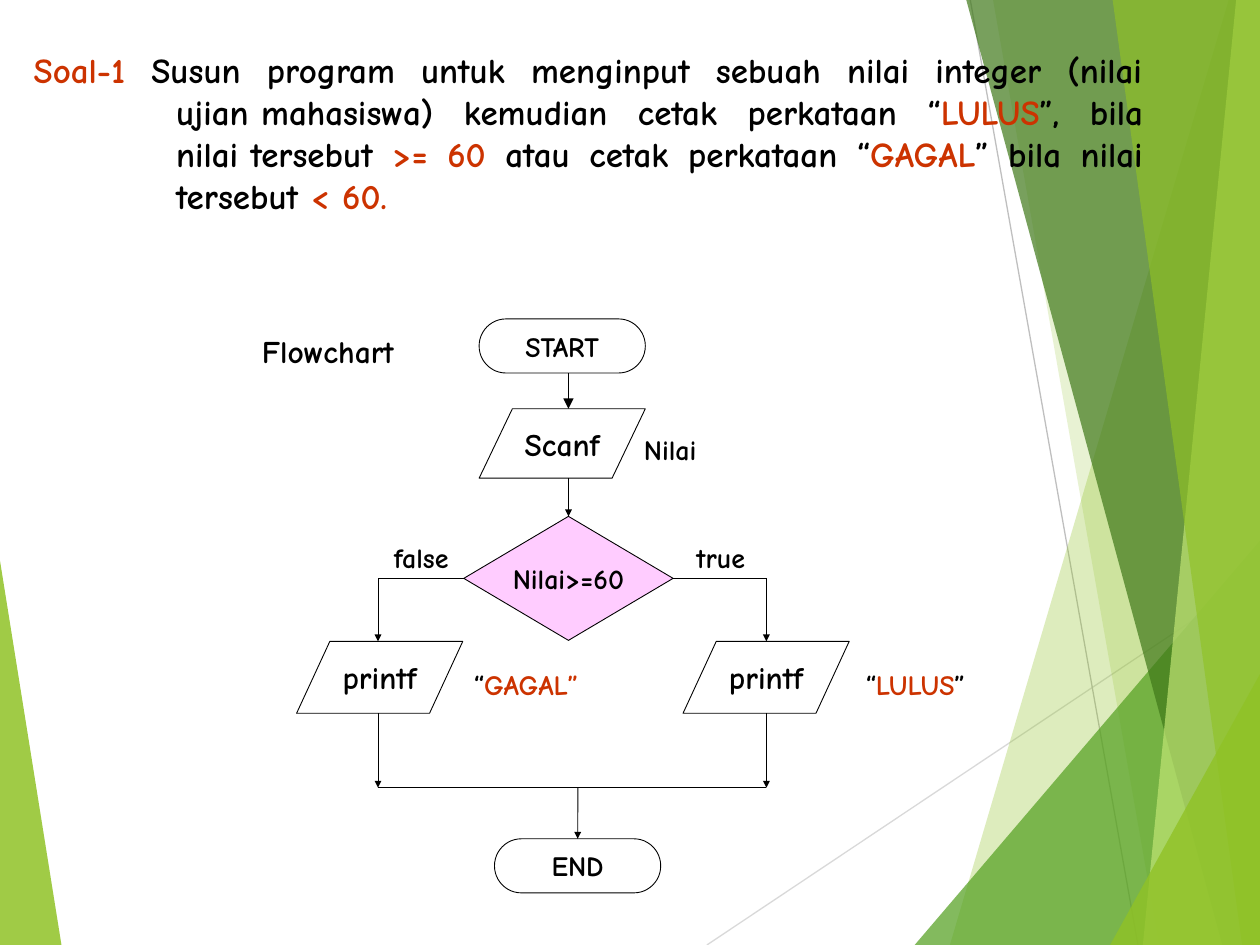
import pptx
import pptx.util
import pptx.dml.color
import pptx.enum.shapes
import pptx.enum.text
import pptx.oxml.ns
from lxml import etree

Cm = pptx.util.Cm
Pt = pptx.util.Pt
RGBColor = pptx.dml.color.RGBColor
MSO_SHAPE = pptx.enum.shapes.MSO_SHAPE
PP_ALIGN = pptx.enum.text.PP_ALIGN
qn = pptx.oxml.ns.qn

BLACK = RGBColor(0x00, 0x00, 0x00)
RED = RGBColor(0xCC, 0x33, 0x00)
PINK = RGBColor(0xFF, 0xCC, 0xFF)
LIME = RGBColor(0x90, 0xC2, 0x26)
PALE_LIME = RGBColor(0xC0, 0xE4, 0x74)
GREEN = RGBColor(0x54, 0xA0, 0x21)
DARK_GREEN = RGBColor(0x3F, 0x78, 0x19)
LIGHT_GRAY = RGBColor(0xD9, 0xD9, 0xD9)
GRAY = RGBColor(0xBF, 0xBF, 0xBF)
FONT = "Comic Neue"
NBSP = chr(160)
W, H = 25.4, 19.05

prs = pptx.Presentation()
prs.slide_width = Cm(W)
prs.slide_height = Cm(H)
s = prs.slides.add_slide(prs.slide_layouts[6])


def write(sp, runs, size):
    p = sp.text_frame.paragraphs[0]
    for text, color in runs:
        r = p.add_run()
        r.text = text
        r.font.name = FONT
        r.font.size = Pt(size)
        r.font.bold = True
        r.font.color.rgb = color
    return p


def add_line(x1, y1, x2, y2, color=BLACK, width=0.5, arrow=None):
    cx = s.shapes.add_connector(
        pptx.enum.shapes.MSO_CONNECTOR.STRAIGHT, Cm(x1), Cm(y1), Cm(x2), Cm(y2))
    cx.line.color.rgb = color
    cx.line.width = Pt(width)
    if arrow:
        etree.SubElement(cx.line._get_or_add_ln(), qn("a:tailEnd"),
                         type="triangle", w=arrow, len=arrow)
    etree.SubElement(cx._element.spPr, qn("a:effectLst"))
    return cx


top_right, bottom_right = (W, 0), (W, H)
facets = [
    (LIME, 85, [(0, 11.3), (1.24, H), (0, H)]),
    (LIME, 30, [(24.77, 0), (19.15, H), bottom_right, top_right]),
    (LIME, 20, [(20.02, 0), (23.37, H), bottom_right, top_right]),
    (GREEN, 72, [(18.44, H), (W, 10.9), bottom_right]),
    (DARK_GREEN, 70, [(19.48, 0), (24.64, H), bottom_right, top_right]),
    (PALE_LIME, 70, [(24.92, 0), (23.04, H), bottom_right, top_right]),
    (LIME, 65, [(22.43, 0), (25.04, H), bottom_right, top_right]),
    (LIME, 80, [(22.38, H), (W, 13.59), bottom_right]),
]
add_line(14.25, H, W, 11.6, LIGHT_GRAY, 0.75)
add_line(19.56, 0, 22.94, H, GRAY, 0.75)
for color, opacity, points in facets:
    corners = [(Cm(x), Cm(y)) for x, y in points]
    fb = s.shapes.build_freeform(*corners[0])
    fb.add_line_segments(corners[1:], close=True)
    sp = fb.convert_to_shape()
    sp.shadow.inherit = False
    sp.line.fill.background()
    sp.fill.solid()
    sp.fill.fore_color.rgb = color
    clr = sp._element.spPr.find(qn("a:solidFill"))[0]
    etree.SubElement(clr, qn("a:alpha"), val=str(opacity * 1000))

sp = s.shapes.add_textbox(Cm(0.43), Cm(0.85), Cm(22.86), Cm(3.66))
sp.text_frame.word_wrap = True
p = write(sp, [
    ("Soal-1", RED),
    (" Susun program untuk menginput sebuah nilai integer (nilai "
     f"ujian{NBSP}mahasiswa) kemudian cetak perkataan “", BLACK),
    ("LULUS", RED),
    (f"”, bila nilai{NBSP}tersebut ", BLACK),
    (">= 60", RED),
    (" atau cetak perkataan “", BLACK),
    ("GAGAL", RED),
    ("” bila nilai tersebut ", BLACK),
    ("< 60.", RED),
], 20)
p.alignment = PP_ALIGN.JUSTIFY
pPr = p._p.get_or_add_pPr()
pPr.set("marL", str(Cm(2.87)))
pPr.set("indent", str(Cm(-2.87)))

TERMINATOR = MSO_SHAPE.FLOWCHART_TERMINATOR
DATA = MSO_SHAPE.FLOWCHART_DATA
DECISION = MSO_SHAPE.FLOWCHART_DECISION
nodes = {}
for name, kind, text, x, y, w, h, size in [
    ("start", TERMINATOR, "START", 9.66, 6.43, 3.35, 1.09, 16),
    ("input", DATA, "Scanf", 9.66, 8.24, 3.35, 1.4, 18),
    ("test", DECISION, "Nilai>=60", 9.35, 10.41, 4.22, 2.5, 16),
    ("fail", DATA, "printf", 5.98, 12.93, 3.35, 1.45, 18),
    ("pass", DATA, "printf", 13.77, 12.93, 3.35, 1.45, 18),
    ("end", TERMINATOR, "END", 9.97, 16.91, 3.35, 1.09, 16),
]:
    sp = s.shapes.add_shape(kind, Cm(x), Cm(y), Cm(w), Cm(h))
    sp.shadow.inherit = False
    if kind == DECISION:
        sp.fill.solid()
        sp.fill.fore_color.rgb = PINK
    else:
        sp.fill.background()
    sp.line.color.rgb = BLACK
    sp.line.width = Pt(0.5)
    sp.text_frame.word_wrap = False
    sp.text_frame.vertical_anchor = pptx.enum.text.MSO_ANCHOR.MIDDLE
    write(sp, [(text, BLACK)], size).alignment = PP_ALIGN.CENTER
    nodes[name] = sp

main_x, fail_x, pass_x = 11.46, 7.62, 15.45
branch_y, merge_y, end_x = 11.66, 15.88, 11.65
add_line(main_x, 7.52, main_x, 8.24, arrow="med")
add_line(main_x, 9.64, main_x, 10.41, arrow="sm").end_connect(nodes["test"], 0)
for x, side in [(fail_x, 1), (pass_x, 3)]:
    add_line(main_x, branch_y, x, branch_y).begin_connect(nodes["test"], side)
    add_line(x, branch_y, x, 12.93, arrow="sm")
    add_line(x, 14.38, x, merge_y, arrow="sm")
add_line(fail_x, merge_y, pass_x, merge_y)
add_line(end_x, merge_y, end_x, 16.91, arrow="sm").end_connect(nodes["end"], 0)

for x, y, w, h, size, runs in [
    (5.03, 6.56, 3.4, 1.02, 18, [("Flowchart", BLACK)]),
    (12.73, 8.59, 1.8, 0.94, 16, [("Nilai", BLACK)]),
    (7.69, 10.77, 1.85, 0.94, 16, [("false", BLACK)]),
    (13.79, 10.77, 1.75, 0.94, 16, [("true", BLACK)]),
    (9.3, 13.34, 2.9, 0.94, 16, [("“", BLACK), ("GAGAL”", RED)]),
    (17.2, 13.34, 2.8, 0.94, 16, [("“", BLACK), ("LULUS", RED), ("”", BLACK)]),
]:
    sp = s.shapes.add_textbox(Cm(x), Cm(y), Cm(w), Cm(h))
    sp.text_frame.word_wrap = True
    write(sp, runs, size)

prs.save("out.pptx")
